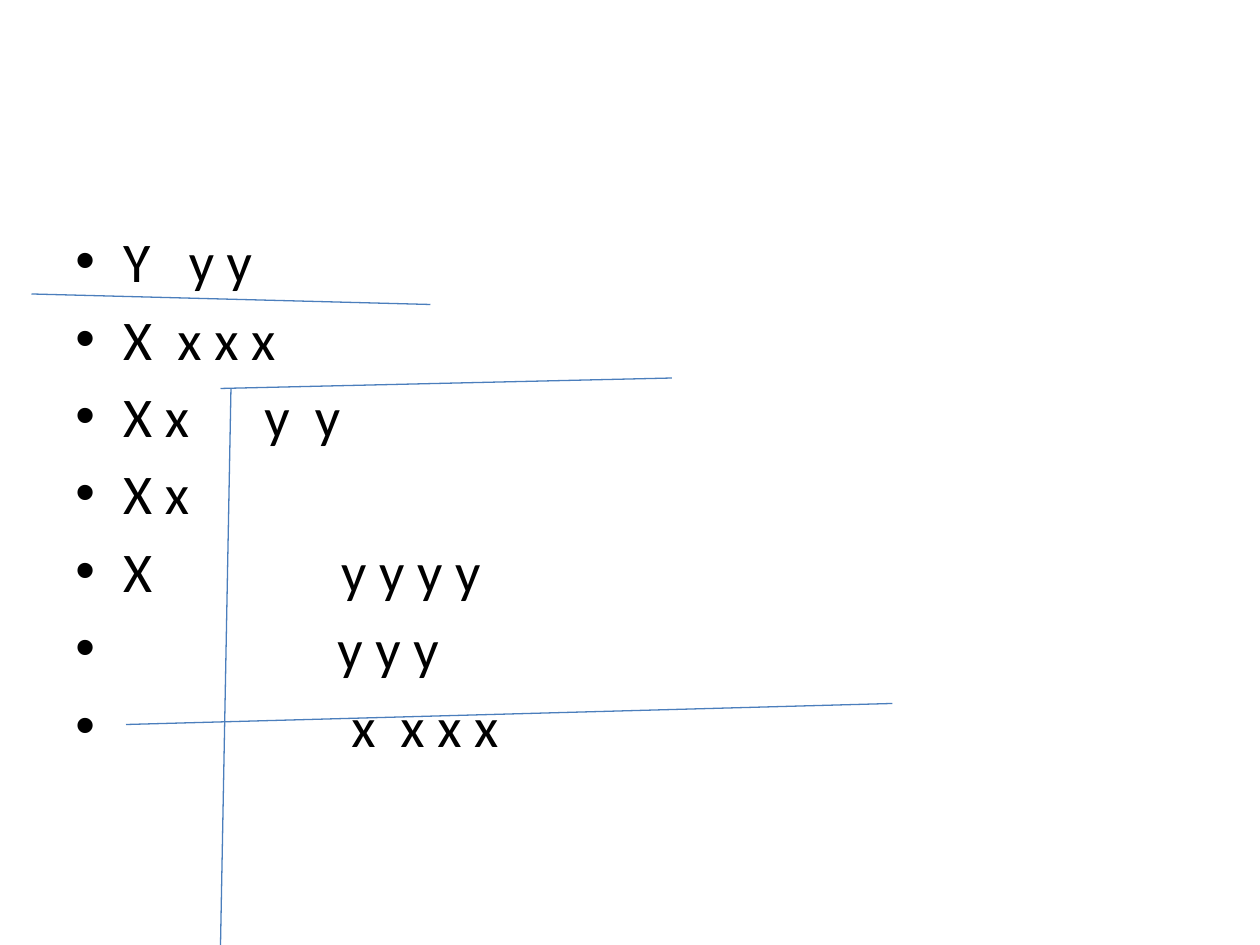
import pptx
import pptx.dml.color
import pptx.enum.shapes
import pptx.oxml.ns
import pptx.util
from lxml import etree

COLUMNS, ROWS = 120, 90
COLORS = {"text": "000000", "line": "4B7EBC"}
ITEMS = [
    ("Y\ty y", [0.9]),
    ("X\tx x x", [0.81]),
    ("X x\ty\ty", [1.5, 1.9]),
    ("X x", []),
    ("X\ty y y y", [2.11]),
    ("\ty y y", [2.08]),
    ("\tx\tx x x", [2.19, 2.58]),
]
LINES = [
    ((12, 69), (85, 67)),
    ((22, 37), (21, 90)),
    ((21, 37), (64, 36)),
    ((3, 28), (41, 29)),
]


def add_child(parent, tag, **attributes):
    return etree.SubElement(parent, pptx.oxml.ns.qn(tag), attributes)


def write_item(paragraph, text, *, tabs, indent, font, size, color, space_before):
    paragraph.space_before = pptx.util.Pt(space_before)
    properties = paragraph._p.get_or_add_pPr()
    properties.set("marL", str(pptx.util.Inches(indent)))
    properties.set("indent", str(-pptx.util.Inches(indent)))
    add_child(properties, "a:buFont", typeface="Arial")
    add_child(properties, "a:buChar", char="•")
    if tabs:
        tab_list = add_child(properties, "a:tabLst")
        for position in tabs:
            add_child(tab_list, "a:tab", pos=str(pptx.util.Inches(position)), algn="l")
    run = paragraph.add_run()
    run.text = text
    run.font.name = font
    run.font.size = pptx.util.Pt(size)
    run.font.color.rgb = pptx.dml.color.RGBColor.from_string(color)


class SlideBuilder:
    font = "Calibri"
    size = 32
    line_width = 0.75

    def __init__(self, presentation):
        self.slide = presentation.slides.add_slide(presentation.slide_layouts[6])
        self.column = presentation.slide_width / COLUMNS
        self.row = presentation.slide_height / ROWS

    def place(self, column, row):
        return round(column * self.column), round(row * self.row)

    def bullets(self, position, extent, items):
        shape = self.slide.shapes.add_textbox(*self.place(*position), *self.place(*extent))
        frame = shape.text_frame
        frame.word_wrap = True
        for index, (text, tabs) in enumerate(items):
            paragraph = frame.add_paragraph() if index else frame.paragraphs[0]
            write_item(paragraph, text, tabs=tabs, indent=0.38, font=self.font,
                       size=self.size, color=COLORS["text"],
                       space_before=5.8 if index else 0)

    def line(self, start, end):
        connector = self.slide.shapes.add_connector(
            pptx.enum.shapes.MSO_CONNECTOR.STRAIGHT, *self.place(*start), *self.place(*end))
        connector.line.width = pptx.util.Pt(self.line_width)
        connector.line.color.rgb = pptx.dml.color.RGBColor.from_string(COLORS["line"])
        add_child(connector._element.spPr, "a:effectLst")


def main():
    presentation = pptx.Presentation()
    presentation.slide_width = pptx.util.Inches(10)
    presentation.slide_height = pptx.util.Inches(7.5)
    builder = SlideBuilder(presentation)
    builder.bullets((6, 21), (108, 59.4), ITEMS)
    for start, end in LINES:
        builder.line(start, end)
    presentation.save("out.pptx")


if __name__ == "__main__":
    main()
